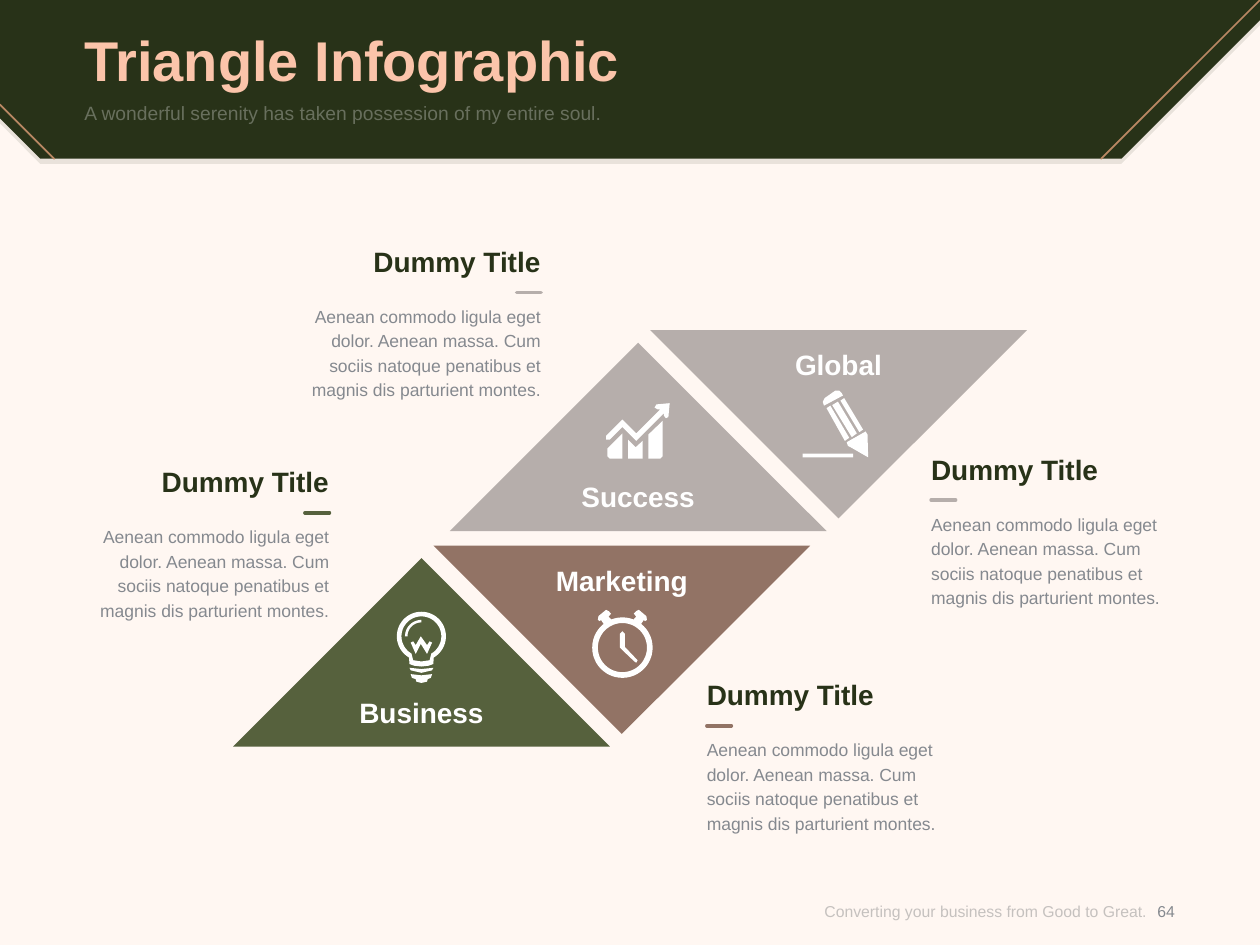
import collections
import math

import pptx
import pptx.dml.color
import pptx.enum.shapes
import pptx.enum.text
import pptx.oxml.ns
import pptx.oxml.xmlchemy
import pptx.util

RGB = pptx.dml.color.RGBColor
ALIGN = pptx.enum.text.PP_ALIGN
ANCHOR = pptx.enum.text.MSO_ANCHOR

CREAM = RGB(0xFF, 0xF7, 0xF2)
FOREST = RGB(0x28, 0x32, 0x18)
PEACH = RGB(0xFB, 0xC4, 0xAA)
COPPER = RGB(0xB9, 0x87, 0x63)
OLIVE = RGB(0x56, 0x61, 0x3D)
BROWN = RGB(0x92, 0x73, 0x65)
STONE = RGB(0xB6, 0xAE, 0xAB)
SLATE = RGB(0x85, 0x89, 0x8F)
GRAY = RGB(0x8C, 0x8C, 0x8C)
WHITE = RGB(0xFF, 0xFF, 0xFF)

COLUMNS, ROWS = 100, 75
CELL = pptx.util.Inches(0.1)
Box = collections.namedtuple("Box", "left top width height")

CAPTION_BODY = ("Aenean commodo ligula eget dolor. Aenean massa. Cum sociis "
                "natoque penatibus et magnis dis parturient montes.")


def cells(count):
    return round(count * CELL)


def inside(box, left, top, width, height):
    return Box(box.left + left, box.top + top, width, height)


def set_alpha(element, percent):
    for color in element.iter(pptx.oxml.ns.qn("a:srgbClr")):
        alpha = color.makeelement(pptx.oxml.ns.qn("a:alpha"), {"val": str(percent * 1000)})
        color.append(alpha)


def add_text(slide, box, text, size=16, color=WHITE, bold=False, align=ALIGN.LEFT,
             anchor=ANCHOR.TOP, spacing=None, alpha=None):
    shape = slide.shapes.add_textbox(*map(cells, box))
    frame = shape.text_frame
    frame.word_wrap = True
    frame.vertical_anchor = anchor
    frame.margin_left = frame.margin_right = frame.margin_top = frame.margin_bottom = 0
    para = frame.paragraphs[0]
    para.alignment = align
    if spacing:
        para.line_spacing = pptx.util.Pt(spacing)
    span = para.add_run()
    span.text = text
    span.font.name = "Arial"
    span.font.size = pptx.util.Pt(size)
    span.font.bold = bold
    span.font.color.rgb = color
    if alpha:
        set_alpha(shape._element, alpha)


def add_outline(slide, box, contours, color, alpha=None):
    def place(point):
        return cells(box.left + point[0]), cells(box.top + point[1])

    builder = slide.shapes.build_freeform(*place(contours[0][0]))
    for index, contour in enumerate(contours):
        if index:
            builder.move_to(*place(contour[0]))
        builder.add_line_segments([place(point) for point in contour[1:]], close=True)
    shape = builder.convert_to_shape()
    shape.shadow.inherit = False
    shape.fill.solid()
    shape.fill.fore_color.rgb = color
    shape.line.fill.background()
    if alpha:
        set_alpha(shape._element.spPr, alpha)


def add_line(slide, box, start, end, color, width):
    points = [cells(value) for x, y in (start, end) for value in (box.left + x, box.top + y)]
    line = slide.shapes.add_connector(pptx.enum.shapes.MSO_CONNECTOR.STRAIGHT, *points)
    line.line.color.rgb = color
    line.line.width = pptx.util.Pt(width)
    line.line._get_or_add_ln().set("cap", "rnd")
    properties = line._element.spPr
    properties.append(properties.makeelement(pptx.oxml.ns.qn("a:effectLst"), {}))


def arc(center, radius, start, end, steps=48):
    angles = [math.radians(start + (end - start) * step / steps) for step in range(steps + 1)]
    return [(center[0] + radius * math.cos(angle), center[1] + radius * math.sin(angle))
            for angle in angles]


def bulb_contours():
    center = (1.95, 1.9)
    return [
        arc(center, 1.95, 60, -240)
        + [(1, 4.1), (1.4, 4.24), (1.95, 4.3), (2.5, 4.24), (2.9, 4.1)],
        arc(center, 1.58, 60, -240) + [(1.3, 3.8), (1.95, 3.9), (2.6, 3.8)],
        arc(center, 1.3, -180, -90) + arc(center, 1.1, -90, -180),
        [(2.4, 2.6), (1.9, 1.9), (1.5, 2.6), (1.3, 2.3), (1.1, 2.4),
         (1.5, 3.3), (1.9, 2.5), (2.4, 3.3), (2.8, 2.4), (2.6, 2.3)],
        [(1, 4.4), (1.1, 4.6), (1.95, 4.8), (2.8, 4.6), (2.9, 4.4), (1.95, 4.5)],
        [(1.1, 4.9), (1.2, 5.2), (1.5, 5.3), (1.55, 5.5), (1.95, 5.6),
         (2.4, 5.5), (2.45, 5.3), (2.7, 5.2), (2.8, 4.9), (1.95, 5)],
    ]


def clock_contours():
    center = (2.4, 3)
    bell = [(0.5, 0.5), (1.1, 0), (1.3, 0.1), (1.5, 0.3), (1.3, 0.55), (1.5, 0.75),
            (0.9, 1.1), (0.7, 0.8), (0.6, 0.9), (0.45, 0.8)]
    return [
        arc(center, 2.4, 0, 360),
        arc(center, 1.95, 0, 360),
        bell,
        [(4.8 - x, y) for x, y in bell],
        [(2.2, 1.9), (2.4, 1.7), (2.6, 1.9), (2.6, 2.95), (3.6, 4), (3.5, 4.2),
         (3.35, 4.1), (2.4, 3.2), (2.2, 3)],
    ]


def chart_contours():
    return [
        [(0.2, 3.6), (1.4, 2.4), (1.4, 4.4), (0.4, 4.4), (0.2, 4.2)],
        [(1.85, 2.9), (2.45, 3.5), (3, 3), (3, 4.4), (1.85, 4.4)],
        [(3.45, 2.5), (4.6, 1.4), (4.6, 4.2), (4.4, 4.4), (3.45, 4.4)],
        [(4.1, 0.1), (5.15, 0), (5.05, 1.1), (4.85, 1.2), (4.7, 1), (4.7, 0.8),
         (2.5, 3), (1.4, 1.9), (0.4, 2.9), (0.1, 2.9), (0.1, 2.6), (1.4, 1.3),
         (2.5, 2.4), (4.4, 0.5), (4.2, 0.5), (3.95, 0.35)],
    ]


def pencil_contours():
    return [
        [(3.5, 4.2), (5, 3.35), (5.15, 3.6), (5.2, 5.4), (3.8, 4.6), (3.6, 4.5)],
        [(3, 0.9), (3.3, 0.7), (4.8, 3.2), (4.5, 3.4)],
        [(2.35, 1.25), (2.8, 0.98), (4.3, 3.5), (3.9, 3.8)],
        [(1.9, 1.5), (2.2, 1.3), (3.7, 3.85), (3.35, 4.1)],
        [(1.7, 1.3), (1.6, 1), (1.75, 0.7), (2.6, 0.1), (2.9, 0.1), (3.1, 0.3), (3.2, 0.5)],
        [(0, 5.1), (4, 5.1), (4, 5.4), (0, 5.4)],
    ]


def draw_header(slide, box):
    banner = [(89, box.height), (3.2, box.height), (0, 9.4), (0, 0), (box.width, 0),
              (box.width, 1.6)]
    add_outline(slide, inside(box, 0, 0.4, box.width, box.height), [banner], FOREST, alpha=10)
    add_outline(slide, box, [banner], FOREST)
    add_line(slide, box, (box.width, 0), (box.width - box.height, box.height), COPPER, 1)
    add_line(slide, box, (0, 8.3), (4.3, box.height), COPPER, 1)
    add_text(slide, inside(box, 6.7, 1.4, 86.6, 6.5), "Triangle Infographic",
             size=32, color=PEACH, bold=True, anchor=ANCHOR.MIDDLE)
    add_text(slide, inside(box, 6.7, 8, 86.6, 3.9),
             "A wonderful serenity has taken possession of my entire soul.",
             size=11, alpha=30)


def draw_triangle(slide, box, label, color, upward, icon, icon_left, icon_top):
    base, tip = (box.height, 0) if upward else (0, box.height)
    outline = [(0, base), (box.width / 2, tip), (box.width, base)]
    add_outline(slide, box, [outline], color)
    add_outline(slide, inside(box, icon_left, icon_top, 0, 0), icon, WHITE)
    add_text(slide, inside(box, 5.3, 10.9 if upward else 1.4, 19.3, 2.7), label,
             bold=True, align=ALIGN.CENTER)


def draw_pair(slide, box, upper, lower):
    size = 29.9, 14.95
    draw_triangle(slide, inside(box, 0, 1, *size), upward=True, **upper)
    draw_triangle(slide, inside(box, 15.9, 0, *size), upward=False, **lower)


def draw_caption(slide, box, color, align):
    right = align == ALIGN.RIGHT
    dash = box.width - 1.9 if right else 0
    add_text(slide, inside(box, 0, 0, box.width, 2.7), "Dummy Title",
             color=FOREST, bold=True, align=align)
    add_line(slide, box, (dash, 3.8), (dash + 1.95, 3.8), color, 2)
    add_text(slide, inside(box, 0, 4.6, box.width, 7.9), CAPTION_BODY,
             size=10, color=SLATE, align=align, spacing=14)


def draw_footer(slide, box):
    add_text(slide, inside(box, 0, 0, 30.6, box.height),
             "Converting your business from Good to Great.", size=9, color=GRAY,
             align=ALIGN.RIGHT, anchor=ANCHOR.MIDDLE, alpha=50)
    add_text(slide, inside(box, 29.8, 0, 4.7, box.height), "64", size=9, color=SLATE,
             align=ALIGN.CENTER, anchor=ANCHOR.MIDDLE)


def main():
    deck = pptx.Presentation()
    deck.slide_width, deck.slide_height = cells(COLUMNS), cells(ROWS)
    slide = deck.slides.add_slide(deck.slide_layouts[6])
    slide.background.fill.solid()
    slide.background.fill.fore_color.rgb = CREAM

    draw_header(slide, Box(0, 0, COLUMNS, 12.6))
    draw_pair(slide, Box(18.5, 43.3, 45.8, 16),
              dict(label="Business", color=OLIVE, icon=bulb_contours(),
                   icon_left=13, icon_top=4.3),
              dict(label="Marketing", color=BROWN, icon=clock_contours(),
                   icon_left=12.6, icon_top=5.1))
    draw_pair(slide, Box(35.7, 26.2, 45.8, 16),
              dict(label="Success", color=STONE, icon=chart_contours(),
                   icon_left=12.3, icon_top=4.8),
              dict(label="Global", color=STONE, icon=pencil_contours(),
                   icon_left=12.1, icon_top=4.7))
    for left, top, color, align in ((6.8, 36.9, OLIVE, ALIGN.RIGHT),
                                    (23.6, 19.4, STONE, ALIGN.RIGHT),
                                    (56.1, 53.8, BROWN, ALIGN.LEFT),
                                    (73.9, 35.9, STONE, ALIGN.LEFT)):
        draw_caption(slide, Box(left, top, 19.3, 12.5), color, align)
    draw_footer(slide, Box(60.4, 69.6, 34.5, 5.4))
    deck.save("out.pptx")


if __name__ == "__main__":
    main()
